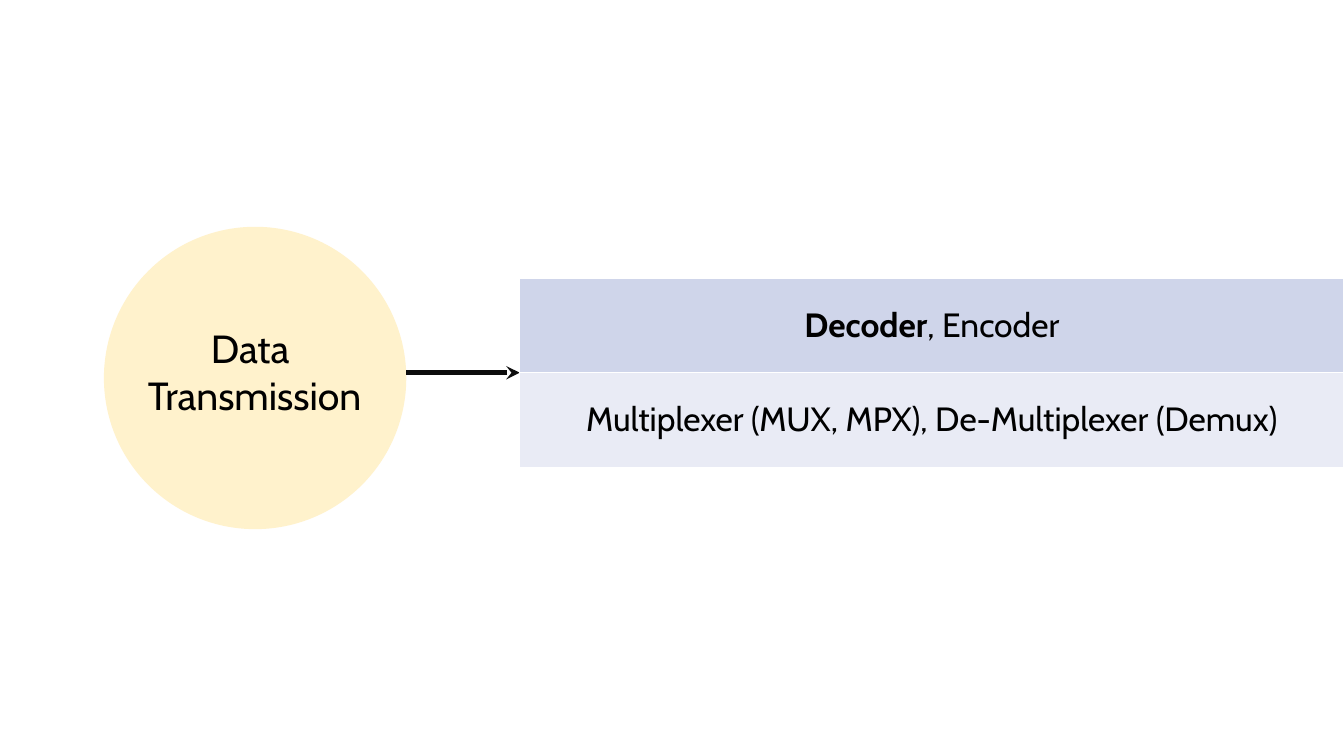
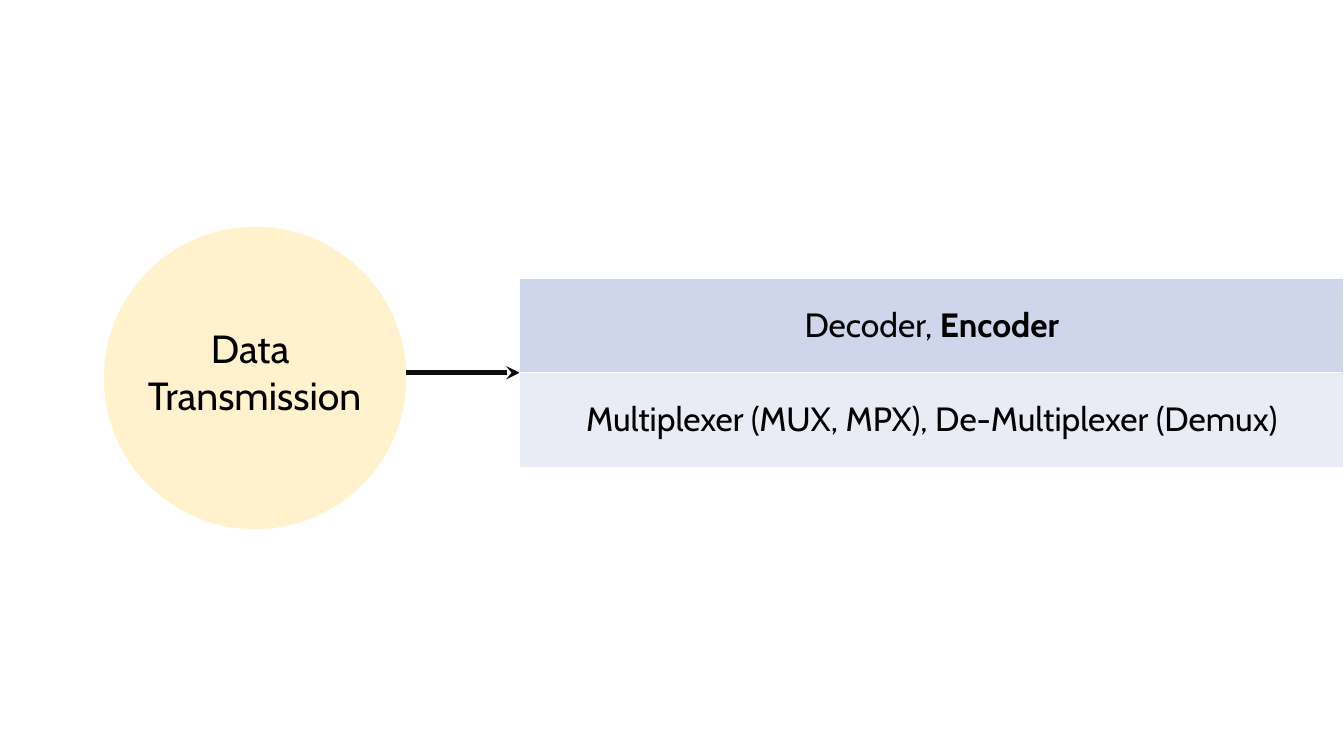
import pptx
import pptx.util
import pptx.dml.color
import pptx.enum.shapes
import pptx.enum.text
import pptx.oxml.ns
from lxml import etree

RGBColor = pptx.dml.color.RGBColor
MSO_SHAPE = pptx.enum.shapes.MSO_SHAPE
ANCHOR = pptx.enum.text.MSO_ANCHOR
qn = pptx.oxml.ns.qn

# Content: each text is a list of lines, each line a list of (words, bold) runs
TOPIC = [[("Data ", False)], [("Transmission", False)]]
MULTIPLEXERS = [[("Multiplexer (MUX, MPX), De-Multiplexer (Demux)", False)]]
SLIDES = [
    [[[("Decoder", True), (", Encoder", False)]], MULTIPLEXERS],
    [[[("Decoder, ", False), ("Encoder", True)]], MULTIPLEXERS],
]

# Shared style
FONT = "Cabin"
BLACK = RGBColor(0x00, 0x00, 0x00)
WHITE = RGBColor(0xFF, 0xFF, 0xFF)
CREAM = RGBColor(0xFF, 0xF2, 0xCC)
ARROW_INK = RGBColor(0x0D, 0x0D, 0x0D)
ROW_FILLS = [RGBColor(0xCF, 0xD5, 0xEA), RGBColor(0xE9, 0xEB, 0xF5)]

# Layout in px, 96 to the inch
SLIDE_W, SLIDE_H = 1280, 720
CIRCLE = (99, 216, 288, 288)
LABEL = (127, 304, 231, 100)
TABLE_LEFT, TABLE_TOP, ROW_H = 495, 265, 90


def px(length):
    return pptx.util.Emu(length * 9525)


def write(frame, lines, size, color=BLACK):
    for index, line in enumerate(lines):
        paragraph = frame.add_paragraph() if index else frame.paragraphs[0]
        paragraph.alignment = pptx.enum.text.PP_ALIGN.CENTER
        for words, bold in line:
            run = paragraph.add_run()
            run.text = words
            run.font.name = FONT
            run.font.size = pptx.util.Pt(size)
            run.font.bold = bold
            run.font.color.rgb = color


def add_filled(shapes, kind, box, fill):
    shape = shapes.add_shape(kind, *map(px, box))
    shape.shadow.inherit = False
    shape.fill.solid()
    shape.fill.fore_color.rgb = fill
    shape.line.fill.background()
    return shape


def add_topic(slide):
    topic = slide.shapes.add_group_shape()
    add_filled(topic.shapes, MSO_SHAPE.OVAL, CIRCLE, CREAM)
    label = add_filled(topic.shapes, MSO_SHAPE.RECTANGLE, LABEL, CREAM)
    label.text_frame.word_wrap = False
    label.text_frame.vertical_anchor = ANCHOR.TOP
    write(label.text_frame, TOPIC, size=28)


def add_arrow(slide, start, end, y):
    arrow = slide.shapes.add_connector(
        pptx.enum.shapes.MSO_CONNECTOR.STRAIGHT, px(start), px(y), px(end), px(y))
    arrow.line.color.rgb = ARROW_INK
    arrow.line.width = pptx.util.Pt(3.25)
    etree.SubElement(arrow.line._get_or_add_ln(), qn("a:tailEnd"), type="stealth")
    etree.SubElement(arrow._element.spPr, qn("a:effectLst"))


def set_borders(cell, color, width):
    properties = cell._tc.get_or_add_tcPr()
    for index, side in enumerate(("a:lnL", "a:lnR", "a:lnT", "a:lnB")):
        border = etree.Element(qn(side), w=str(pptx.util.Pt(width)))
        fill = etree.SubElement(border, qn("a:solidFill"))
        etree.SubElement(fill, qn("a:srgbClr"), val=str(color))
        properties.insert(index, border)


def add_circuits(slide, rows):
    table = slide.shapes.add_table(
        len(rows), 1, px(TABLE_LEFT), px(TABLE_TOP),
        px(SLIDE_W - TABLE_LEFT), px(ROW_H * len(rows))).table
    table.first_row = table.horz_banding = False
    for index, (lines, fill) in enumerate(zip(rows, ROW_FILLS)):
        cell = table.cell(index, 0)
        cell.fill.solid()
        cell.fill.fore_color.rgb = fill
        cell.vertical_anchor = ANCHOR.MIDDLE
        set_borders(cell, WHITE, width=1)
        write(cell.text_frame, lines, size=24)


def main():
    deck = pptx.Presentation()
    deck.slide_width, deck.slide_height = px(SLIDE_W), px(SLIDE_H)
    for rows in SLIDES:
        slide = deck.slides.add_slide(deck.slide_layouts[6])
        add_topic(slide)
        # The arrow runs from the circle's edge to the middle of the table
        add_arrow(slide, CIRCLE[0] + CIRCLE[2], TABLE_LEFT,
                  TABLE_TOP + ROW_H * len(rows) // 2)
        add_circuits(slide, rows)
    deck.save("out.pptx")


if __name__ == "__main__":
    main()
